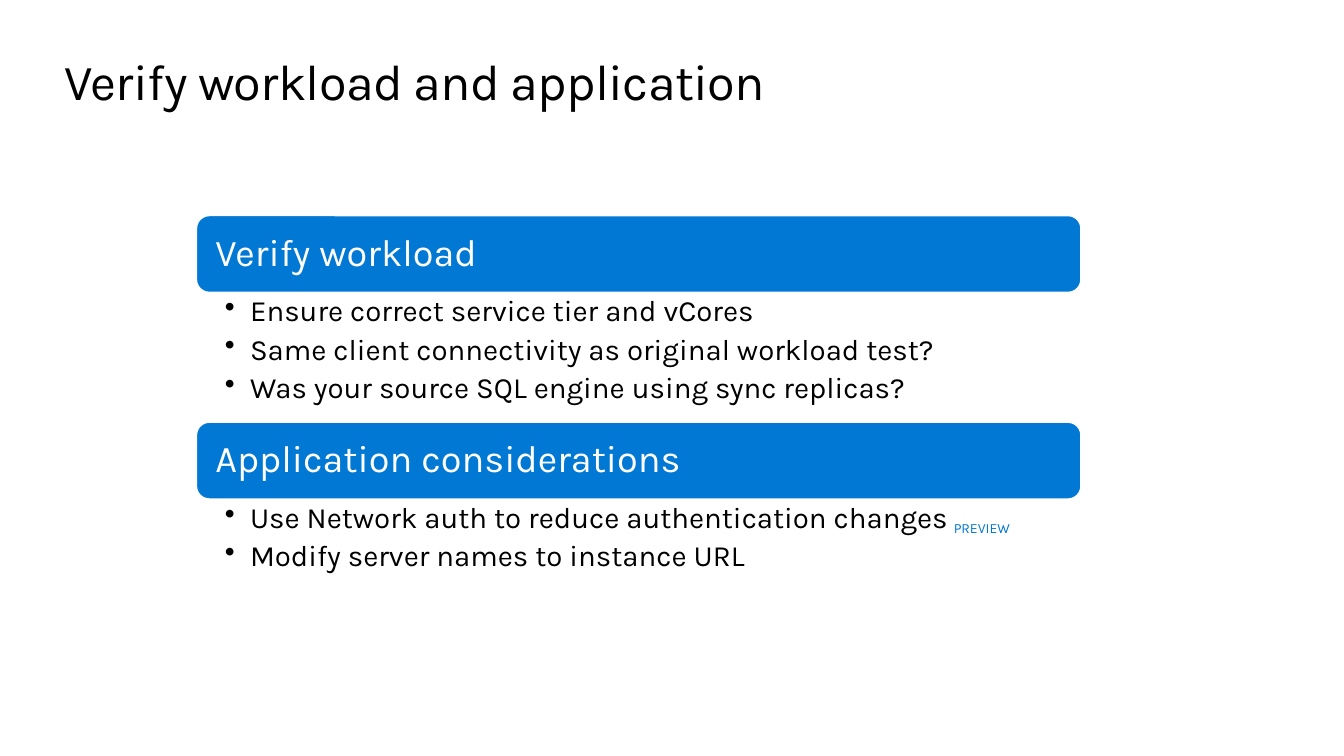
import pptx
import pptx.util
import pptx.dml.color
import pptx.enum.shapes
import pptx.enum.text
import pptx.oxml.ns
from dataclasses import dataclass
from lxml import etree

TITLE = "Verify workload and application"
SECTIONS = [
    ("Verify workload", [
        "Ensure correct service tier and vCores",
        "Same client connectivity as original workload test?",
        "Was your source SQL engine using sync replicas?",
    ]),
    ("Application considerations", [
        "Use Network auth to reduce authentication changes",
        "Modify server names to instance URL",
    ]),
]
TAG = "PREVIEW"

SLIDE_WIDTH, SLIDE_HEIGHT = 13.33, 7.5
LIST_LEFT, LIST_TOP, LIST_WIDTH = 1.95, 2.14, 8.77
HEADER_HEIGHT, BULLET_HEIGHT = 0.76, 0.43
BULLET_INDENT = 0.25


@dataclass(frozen=True)
class Theme:
    font: str = "Karla"
    ink: str = "000000"
    paper: str = "FFFFFF"
    accent: str = "0078D4"
    title_size: int = 36
    header_size: int = 27
    bullet_size: int = 21
    tag_size: int = 10


THEME = Theme()
inches = pptx.util.Inches
points = pptx.util.Pt
ANCHOR = pptx.enum.text.MSO_ANCHOR


def rgb(color):
    return pptx.dml.color.RGBColor.from_string(color)


def set_frame(shape, insets=(0, 0, 0, 0), anchor=ANCHOR.TOP, wrap=True):
    """Set insets (left, top, right, bottom), anchor and wrapping; return the text frame."""
    frame = shape.text_frame
    frame.margin_left, frame.margin_top, frame.margin_right, frame.margin_bottom = map(inches, insets)
    frame.vertical_anchor = anchor
    frame.word_wrap = wrap
    return frame


def add_run(paragraph, text, size, color):
    paragraph.alignment = pptx.enum.text.PP_ALIGN.LEFT
    run = paragraph.add_run()
    run.text = text
    run.font.name = THEME.font
    run.font.size = points(size)
    run.font.color.rgb = rgb(color)
    return run


def add_text_box(slide, left, top, width, height):
    return slide.shapes.add_textbox(*map(inches, (left, top, width, height)))


def set_bullet(paragraph):
    properties = paragraph._p.get_or_add_pPr()
    properties.set("marL", str(inches(BULLET_INDENT)))
    properties.set("indent", str(-inches(BULLET_INDENT)))
    bullet = etree.SubElement(properties, pptx.oxml.ns.qn("a:buChar"))
    bullet.set("char", "•")


def add_header(slide, text, top):
    bar = slide.shapes.add_shape(
        pptx.enum.shapes.MSO_SHAPE.ROUNDED_RECTANGLE,
        *map(inches, (LIST_LEFT, top, LIST_WIDTH, HEADER_HEIGHT)))
    bar.shadow.inherit = False
    bar.fill.solid()
    bar.fill.fore_color.rgb = rgb(THEME.accent)
    bar.line.color.rgb = rgb(THEME.paper)
    bar.line.width = points(0.85)
    frame = set_frame(bar, (0.15, 0.15, 0.15, 0.15), ANCHOR.MIDDLE)
    paragraph = frame.paragraphs[0]
    paragraph.line_spacing = 0.9
    add_run(paragraph, text, THEME.header_size, THEME.paper)


def add_bullets(slide, bullets, top, height):
    box = add_text_box(slide, LIST_LEFT, top, LIST_WIDTH, height)
    frame = set_frame(box, (0.28, 0.04, 0.21, 0.04))
    for index, text in enumerate(bullets):
        paragraph = frame.add_paragraph() if index else frame.paragraphs[0]
        set_bullet(paragraph)
        paragraph.line_spacing = 0.9
        paragraph.space_after = points(4.7)
        add_run(paragraph, text, THEME.bullet_size, THEME.ink)


def main():
    presentation = pptx.Presentation()
    presentation.slide_width = inches(SLIDE_WIDTH)
    presentation.slide_height = inches(SLIDE_HEIGHT)
    slide = presentation.slides.add_slide(presentation.slide_layouts[6])

    title = set_frame(add_text_box(slide, 0.64, 0.5, 12.05, 0.61))
    run = add_run(title.paragraphs[0], TITLE, THEME.title_size, THEME.ink)
    run.font._element.set("spc", "-50")

    top = LIST_TOP
    for header, bullets in SECTIONS:
        add_header(slide, header, top)
        top += HEADER_HEIGHT
        height = BULLET_HEIGHT * len(bullets)
        add_bullets(slide, bullets, top, height)
        top += height

    tag = set_frame(add_text_box(slide, 9.46, 5.15, 0.56, 0.17), wrap=False)
    add_run(tag.paragraphs[0], TAG, THEME.tag_size, THEME.accent)

    presentation.save("out.pptx")


if __name__ == "__main__":
    main()
